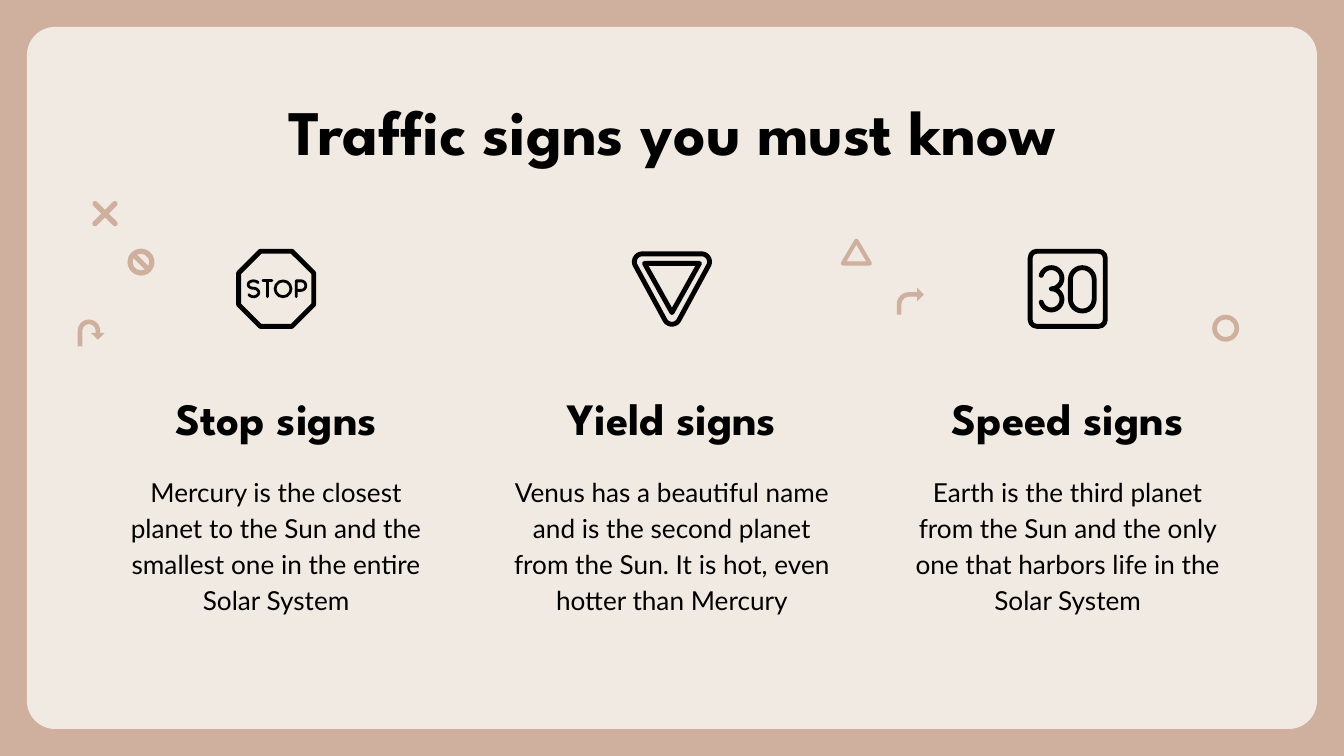
from math import cos, radians, sin

from lxml.etree import SubElement
from pptx import Presentation
from pptx.dml.color import RGBColor
from pptx.enum.shapes import MSO_SHAPE
from pptx.enum.text import MSO_ANCHOR, PP_ALIGN
from pptx.oxml.ns import qn
from pptx.util import Cm, Pt

COLORS = {"frame": "CFAF9E", "card": "F1EAE2", "ink": "000000"}
HEADING_FONT = "League Spartan"
BODY_FONT = "Lato"
ICON_SIZE = 1.52
DECOR_SIZE = 0.51
BOLD_STROKE = 2.6
THIN_STROKE = 1.5


def rgb(name):
    return RGBColor.from_string(COLORS[name])


def add_text(slide, text, box, size, font=BODY_FONT, bold=False,
             anchor=MSO_ANCHOR.TOP, spacing=1.0):
    frame = slide.shapes.add_textbox(*map(Cm, box)).text_frame
    frame.word_wrap = True
    frame.vertical_anchor = anchor
    frame.margin_left = frame.margin_right = Cm(0.25)
    frame.margin_top = frame.margin_bottom = Cm(0.25)
    paragraph = frame.paragraphs[0]
    paragraph.alignment = PP_ALIGN.CENTER
    paragraph.line_spacing = spacing
    run = paragraph.add_run()
    run.text = text
    run.font.name, run.font.size, run.font.bold = font, Pt(size), bold
    run.font.color.rgb = rgb("ink")


def set_outline(shape, color, width):
    """Leave the shape hollow, with a line of round ends and joins."""
    shape.shadow.inherit = False
    shape.fill.background()
    shape.line.color.rgb = rgb(color)
    shape.line.width = Pt(width)
    line = shape.line._get_or_add_ln()
    line.set("cap", "rnd")
    SubElement(line, qn("a:round"))


def add_solid(slide, kind, box, color, adjustments=(), rotation=0):
    shape = slide.shapes.add_shape(kind, *map(Cm, box))
    shape.shadow.inherit = False
    shape.fill.solid()
    shape.fill.fore_color.rgb = rgb(color)
    shape.line.fill.background()
    for index, value in enumerate(adjustments):
        shape.adjustments[index] = value
    shape.rotation = rotation


def add_hollow(slide, kind, box, width, color="ink", adjustment=None):
    shape = slide.shapes.add_shape(kind, *map(Cm, box))
    if adjustment is not None:
        shape.adjustments[0] = adjustment
    set_outline(shape, color, width)


def add_stroke(slide, left, top, points, width, close=False):
    """Draw a line through points given in cm from the corner of the icon."""
    start, *rest = [(Cm(left + x), Cm(top + y)) for x, y in points]
    builder = slide.shapes.build_freeform(*start)
    builder.add_line_segments(rest, close=close)
    set_outline(builder.convert_to_shape(), "ink", width)


def arc(x, y, rx, ry, start, end, steps=20):
    """Points of an arc, with angles in degrees clockwise from the right."""
    angles = [radians(start + (end - start) * i / steps) for i in range(steps + 1)]
    return [(x + rx * cos(a), y + ry * sin(a)) for a in angles]


def draw_stop_icon(slide, left, top):
    side = ICON_SIZE - 0.1
    add_hollow(slide, MSO_SHAPE.OCTAGON, (left + 0.05, top + 0.05, side, side),
               BOLD_STROKE, adjustment=0.29)
    high, low = 0.61, 0.91
    letter_s = (arc(0.33, 0.68, 0.1, 0.07, -30, -270)
                + arc(0.33, 0.83, 0.1, 0.08, -90, 150))
    letter_p = ([(1.14, low), (1.14, high)]
                + arc(1.23, 0.7, 0.09, 0.09, -90, 90) + [(1.14, 0.79)])
    for stroke in (letter_s, [(0.51, high), (0.68, high)],
                   [(0.6, high), (0.6, low)], letter_p):
        add_stroke(slide, left, top, stroke, THIN_STROKE)
    add_hollow(slide, MSO_SHAPE.OVAL, (left + 0.74, top + high, 0.3, 0.3), THIN_STROKE)


def draw_yield_icon(slide, left, top):
    radius = 0.15
    rim = (arc(0.2, 0.25, radius, radius, 150, 270)
           + arc(1.32, 0.25, radius, radius, -90, 30)
           + arc(0.76, 1.28, radius, radius, 30, 150))
    add_stroke(slide, left, top, rim, BOLD_STROKE, close=True)
    inner = [(0.24, 0.28), (1.28, 0.28), (0.76, 1.21)]
    add_stroke(slide, left, top, inner, BOLD_STROKE, close=True)


def draw_speed_icon(slide, left, top):
    side = ICON_SIZE - 0.1
    add_hollow(slide, MSO_SHAPE.ROUNDED_RECTANGLE,
               (left + 0.05, top + 0.05, side, side), BOLD_STROKE, adjustment=0.09)
    three = (arc(0.45, 0.56, 0.2, 0.2, -165, 90)
             + arc(0.45, 0.96, 0.2, 0.2, -90, 165))
    add_stroke(slide, left, top, three, BOLD_STROKE)
    add_hollow(slide, MSO_SHAPE.ROUNDED_RECTANGLE,
               (left + 0.81, top + 0.36, 0.45, 0.82), BOLD_STROKE, adjustment=0.5)


def add_sign_column(slide, left, top, width, draw_icon, heading, description):
    draw_icon(slide, left + (width - ICON_SIZE) / 2, top)
    add_text(slide, heading, (left, top + 2.44, width, 1.52), 24, HEADING_FONT,
             bold=True, anchor=MSO_ANCHOR.BOTTOM, spacing=1.15)
    add_text(slide, description, (left, top + 3.96, width, 3.18), 14, spacing=1.15)


def add_left_decor(slide, left, top):
    for angle in (45, -45):
        add_solid(slide, MSO_SHAPE.ROUNDED_RECTANGLE,
                  (left + 0.2, top + 0.19, 0.63, 0.1), "frame", [0.5], angle)
    add_solid(slide, MSO_SHAPE.U_TURN_ARROW,
              (left, top + 2.24, DECOR_SIZE, DECOR_SIZE), "frame",
              [0.17, 0.25, 0.25, 0.44, 0.75])
    add_solid(slide, MSO_SHAPE.NO_SYMBOL,
              (left + 0.94, top + 0.9, DECOR_SIZE, DECOR_SIZE), "frame", [0.19])


def add_right_decor(slide, left, top):
    add_hollow(slide, MSO_SHAPE.ISOSCELES_TRIANGLE,
               (left, top, DECOR_SIZE, 0.43), 2.25, "frame")
    add_solid(slide, MSO_SHAPE.BENT_ARROW,
              (left + 1.02, top + 0.89, DECOR_SIZE, DECOR_SIZE), "frame",
              [0.17, 0.25, 0.25, 0.44])
    add_solid(slide, MSO_SHAPE.DONUT,
              (left + 6.98, top + 1.4, DECOR_SIZE, DECOR_SIZE), "frame", [0.17])


def add_card(slide, width, height, margin):
    slide.background.fill.solid()
    slide.background.fill.fore_color.rgb = rgb("frame")
    add_solid(slide, MSO_SHAPE.ROUNDED_RECTANGLE,
              (margin, margin, width - 2 * margin, height - 2 * margin),
              "card", [0.04])


def main():
    width, height = 25.4, 14.29
    presentation = Presentation()
    presentation.slide_width, presentation.slide_height = Cm(width), Cm(height)
    slide = presentation.slides.add_slide(presentation.slide_layouts[6])
    add_card(slide, width, height, 0.51)

    margin, column_width = 1.98, 6.48
    add_text(slide, "Traffic signs you must know",
             (margin, 1.5, width - 2 * margin, 1.78), 34, HEADING_FONT, bold=True)

    signs = [
        (draw_stop_icon, "Stop signs",
         "Mercury is the closest planet to the Sun and the smallest one "
         "in the entire Solar System"),
        (draw_yield_icon, "Yield signs",
         "Venus has a beautiful name and is the second planet from the Sun. "
         "It is hot, even hotter than Mercury"),
        (draw_speed_icon, "Speed signs",
         "Earth is the third planet from the Sun and the only one that "
         "harbors life in the Solar System"),
    ]
    pitch = (width - 2 * margin - column_width) / (len(signs) - 1)
    for index, sign in enumerate(signs):
        add_sign_column(slide, margin + index * pitch, 4.7, column_width, *sign)

    add_left_decor(slide, 1.47, 3.8)
    add_right_decor(slide, 15.93, 4.55)
    presentation.save("out.pptx")


if __name__ == "__main__":
    main()
